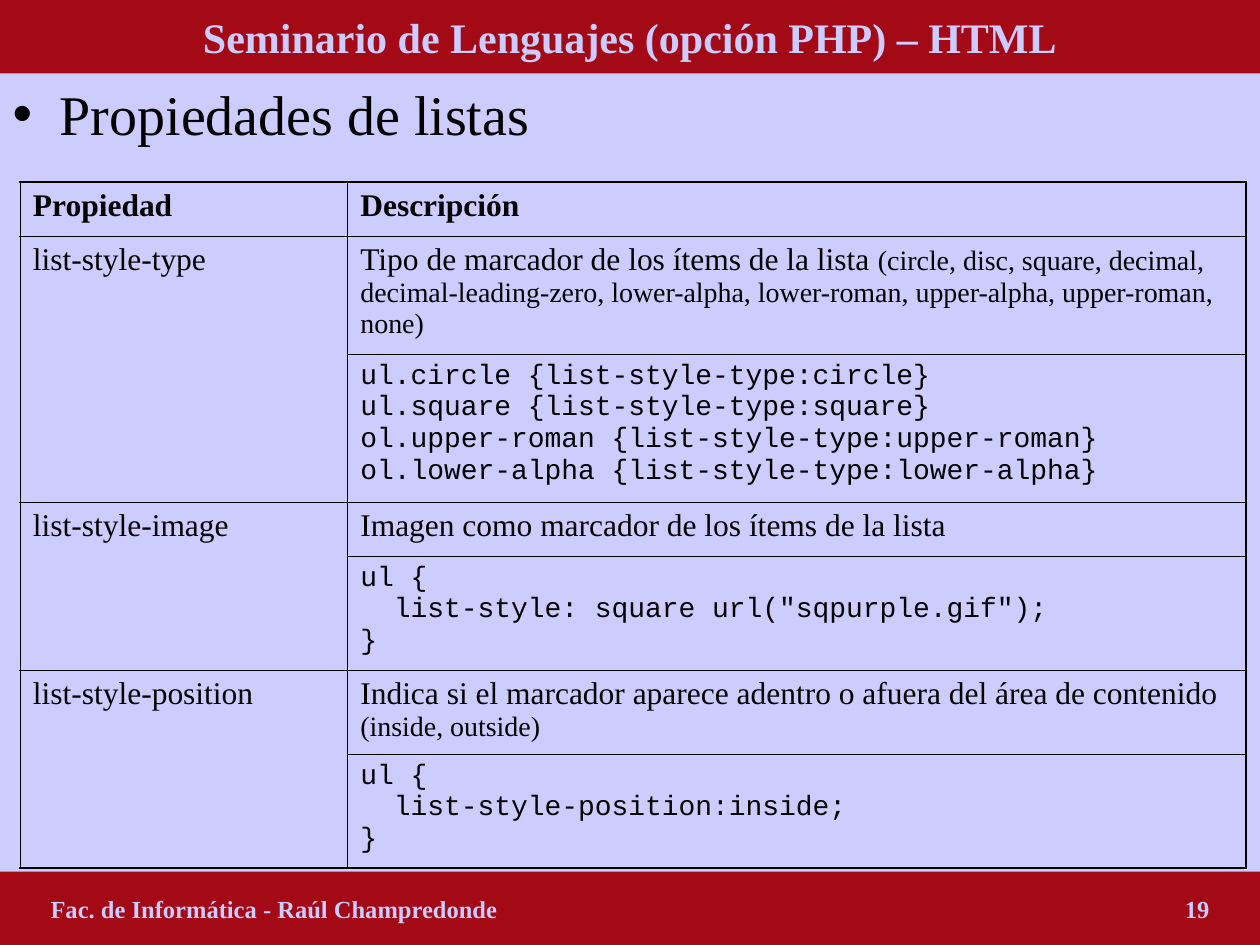
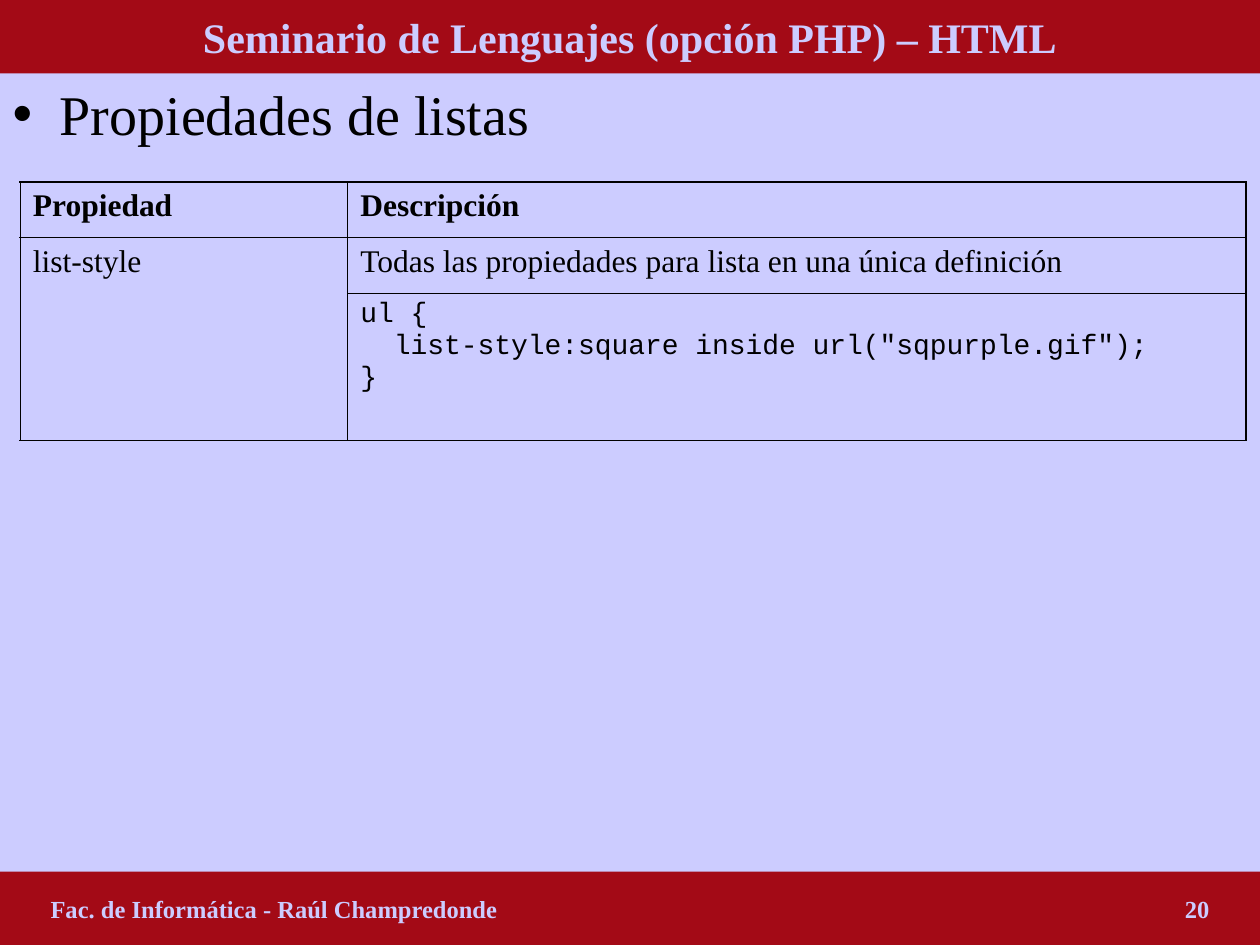
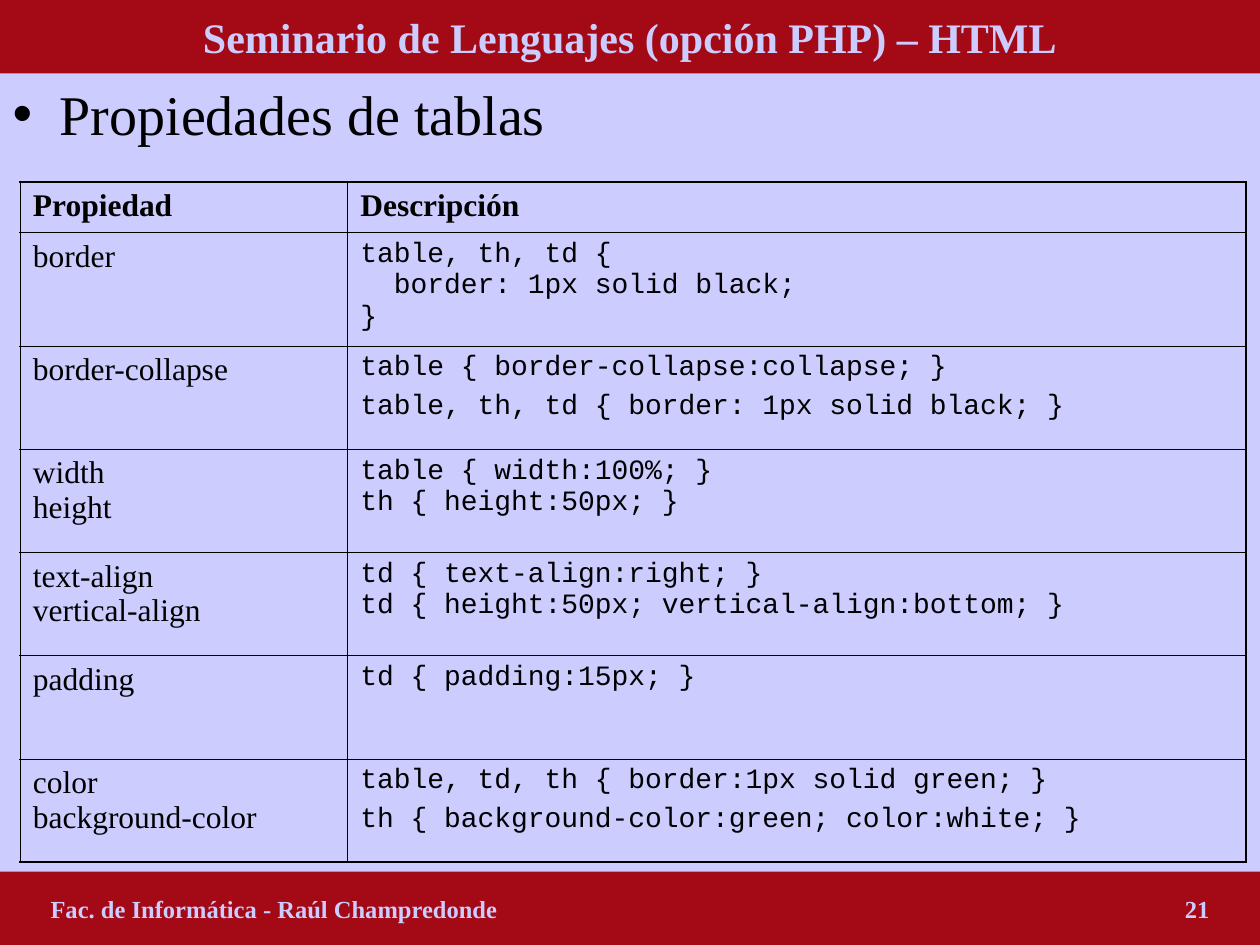
import copy
import lxml.etree
import pptx
import pptx.dml.color
import pptx.enum.shapes
import pptx.enum.text
import pptx.oxml.ns
import pptx.util

Cm = pptx.util.Cm
Pt = pptx.util.Pt
qn = pptx.oxml.ns.qn

COLORS = {"background": "CCCCFF", "band": "A30A16", "text": "000000"}
SERIF, MONO = "Times New Roman", "Courier New"
STYLES = {
    "title": ({"name": SERIF, "size": Pt(24), "bold": True}, "background"),
    "footer": ({"name": SERIF, "size": Pt(14), "bold": True}, "background"),
    "topic": ({"name": SERIF, "size": Pt(32), "bold": False}, "text"),
    "header": ({"name": SERIF, "size": Pt(18), "bold": True}, "text"),
    "plain": ({"name": SERIF, "size": Pt(18), "bold": False}, "text"),
    "values": ({"name": SERIF, "size": Pt(16), "bold": False}, "text"),
    "code": ({"name": MONO, "size": Pt(16), "bold": False}, "text"),
}
SLIDE_WIDTH, SLIDE_HEIGHT = 25.4, 19.05
BAND_HEIGHT = 1.48
FOOTER_MARGIN = 1.02
COLUMN_WIDTHS = (6.6, 18.11)
OUTER_LINE, INNER_LINE = Pt(1.08), Pt(0.45)
PLAIN_TABLE_STYLE = "{2D5ABB26-0587-4C30-8999-92F81FD0307C}"

SLIDES = [
    ("Propiedades de listas", 1.09, [
        (2.39, "list-style-type", [[
            ("plain", "Tipo de marcador de los ítems de la lista "),
            ("values", "(circle, disc, square, decimal, decimal-leading-zero, lower-alpha, "
                       "lower-roman, upper-alpha, upper-roman, none)")]]),
        (2.97, None, [[("code", "ul.circle {list-style-type:circle}\n"
                                "ul.square {list-style-type:square}\n"
                                "ol.upper-roman {list-style-type:upper-roman}\n"
                                "ol.lower-alpha {list-style-type:lower-alpha}")]]),
        (1.1, "list-style-image", [[("plain", "Imagen como marcador de los ítems de la lista")]]),
        (2.29, None, [[("code", 'ul {\n  list-style: square url("sqpurple.gif");\n}')]]),
        (1.7, "list-style-position", [[
            ("plain", "Indica si el marcador aparece adentro o afuera del área de contenido "),
            ("values", "(inside, outside)")]]),
        (2.29, None, [[("code", "ul {\n  list-style-position:inside;\n}")]]),
    ]),
    ("Propiedades de listas", 1.12, [
        (1.12, "list-style", [[("plain", "Todas las propiedades para lista en una única definición")]]),
        (2.97, None, [[("code", 'ul {\n  list-style:square inside url("sqpurple.gif");\n}')]]),
    ]),
    ("Propiedades de tablas", 1.02, [
        (2.29, "border", [[("code", "table, th, td {\n  border: 1px solid black;\n}")]]),
        (2.08, "border-collapse", [[("code", "table { border-collapse:collapse; }")],
                                   [("code", "table, th, td { border: 1px solid black; }")]]),
        (2.08, "width\nheight", [[("code", "table { width:100%; }\nth { height:50px; }")]]),
        (2.08, "text-align\nvertical-align", [[
            ("code", "td { text-align:right; }\ntd { height:50px; vertical-align:bottom; }")]]),
        (2.08, "padding", [[("code", "td { padding:15px; }")]]),
        (2.08, "color\nbackground-color", [[("code", "table, td, th { border:1px solid green; }")],
                                           [("code", "th { background-color:green; color:white; }")]]),
    ]),
]


def write(text_frame, paragraphs):
    for index, pieces in enumerate(paragraphs):
        paragraph = text_frame.add_paragraph() if index else text_frame.paragraphs[0]
        paragraph.space_before = Pt(4 if index else 0)
        for style, text in pieces:
            values, color = STYLES[style]
            for number, line in enumerate(text.split("\n")):
                if number:
                    paragraph.add_line_break()
                    paragraph._p[-1].append(copy.deepcopy(run._r.rPr))
                run = paragraph.add_run()
                run.text = line
                for name, value in values.items():
                    setattr(run.font, name, value)
                run.font.color.rgb = pptx.dml.color.RGBColor.from_string(COLORS[color])


def draw_borders(cell, widths):
    properties = cell._tc.get_or_add_tcPr()
    for side, width in widths.items():
        line = lxml.etree.SubElement(properties, qn("a:ln" + side), w=str(int(width)))
        fill = lxml.etree.SubElement(line, qn("a:solidFill"))
        lxml.etree.SubElement(fill, qn("a:srgbClr"), val=COLORS["text"])


presentation = pptx.Presentation()
presentation.slide_width = Cm(SLIDE_WIDTH)
presentation.slide_height = Cm(SLIDE_HEIGHT)
background = presentation.slide_master.background.fill
background.solid()
background.fore_color.rgb = pptx.dml.color.RGBColor.from_string(COLORS["background"])

for page, (topic, header_height, rows) in enumerate(SLIDES, start=19):
    slide = presentation.slides.add_slide(presentation.slide_layouts[1])
    title, body = slide.placeholders
    footer_top = SLIDE_HEIGHT - BAND_HEIGHT
    footer = slide.shapes.add_shape(pptx.enum.shapes.MSO_SHAPE.RECTANGLE, 0, 0, 0, 0)
    footer.shadow.inherit = False
    footer.line.fill.background()

    for shape, top, height, anchor in (
        (title, 0, BAND_HEIGHT, "MIDDLE"),
        (body, BAND_HEIGHT, footer_top - BAND_HEIGHT, "TOP"),
        (footer, footer_top, BAND_HEIGHT, "MIDDLE"),
    ):
        geometry = {"left": 0, "top": Cm(top), "width": Cm(SLIDE_WIDTH), "height": Cm(height)}
        for name, value in geometry.items():
            setattr(shape, name, value)
        shape.text_frame.auto_size = pptx.enum.text.MSO_AUTO_SIZE.NONE
        shape.text_frame.vertical_anchor = pptx.enum.text.MSO_ANCHOR[anchor]
        shape.text_frame.word_wrap = True

    for band in (title, footer):
        band.fill.solid()
        band.fill.fore_color.rgb = pptx.dml.color.RGBColor.from_string(COLORS["band"])

    write(title.text_frame, [[("title", "Seminario de Lenguajes (opción PHP) – HTML")]])

    bullet_properties = body.text_frame.paragraphs[0]._p.get_or_add_pPr()
    bullet_properties.set("marL", str(Cm(0.95)))
    bullet_properties.set("indent", str(-Cm(0.95)))
    write(body.text_frame, [[("topic", topic)]])

    footer.text_frame.margin_left = Cm(FOOTER_MARGIN)
    footer_paragraph = footer.text_frame.paragraphs[0]
    footer_paragraph.alignment = pptx.enum.text.PP_ALIGN.LEFT
    tabs = lxml.etree.SubElement(footer_paragraph._p.get_or_add_pPr(), qn("a:tabLst"))
    lxml.etree.SubElement(tabs, qn("a:tab"), pos=str(Cm(SLIDE_WIDTH - 2 * FOOTER_MARGIN)), algn="r")
    write(footer.text_frame, [[("footer", f"Fac. de Informática - Raúl Champredonde\t{page}")]])

    table_rows = [(header_height, "Propiedad", [[("header", "Descripción")]])] + rows
    table_height = sum(row[0] for row in table_rows)
    frame = slide.shapes.add_table(len(table_rows), 2, Cm(0.41), Cm(3.67),
                                   Cm(sum(COLUMN_WIDTHS)), Cm(table_height))
    table = frame.table
    table.first_row = False
    table.horz_banding = False
    table._tbl.tblPr.find(qn("a:tableStyleId")).text = PLAIN_TABLE_STYLE
    for column, width in zip(table.columns, COLUMN_WIDTHS):
        column.width = Cm(width)

    for index, (height, property_name, description) in enumerate(table_rows):
        table.rows[index].height = Cm(height)
        if property_name:
            style = "plain" if index else "header"
            write(table.cell(index, 0).text_frame, [[(style, property_name)]])
        else:
            table.cell(index - 1, 0).merge(table.cell(index, 0))
        write(table.cell(index, 1).text_frame, description)

    for index in range(len(table_rows)):
        for column in range(2):
            cell = table.cell(index, column)
            last_row = index + (cell.span_height if cell.is_merge_origin else 1)
            widths = {
                "L": INNER_LINE if column else OUTER_LINE,
                "R": OUTER_LINE if column else INNER_LINE,
                "T": INNER_LINE if index else OUTER_LINE,
                "B": OUTER_LINE if last_row == len(table_rows) else INNER_LINE,
            }
            if cell.is_spanned:
                del widths["T"]
            draw_borders(cell, widths)
            cell.fill.background()

presentation.save("out.pptx")
